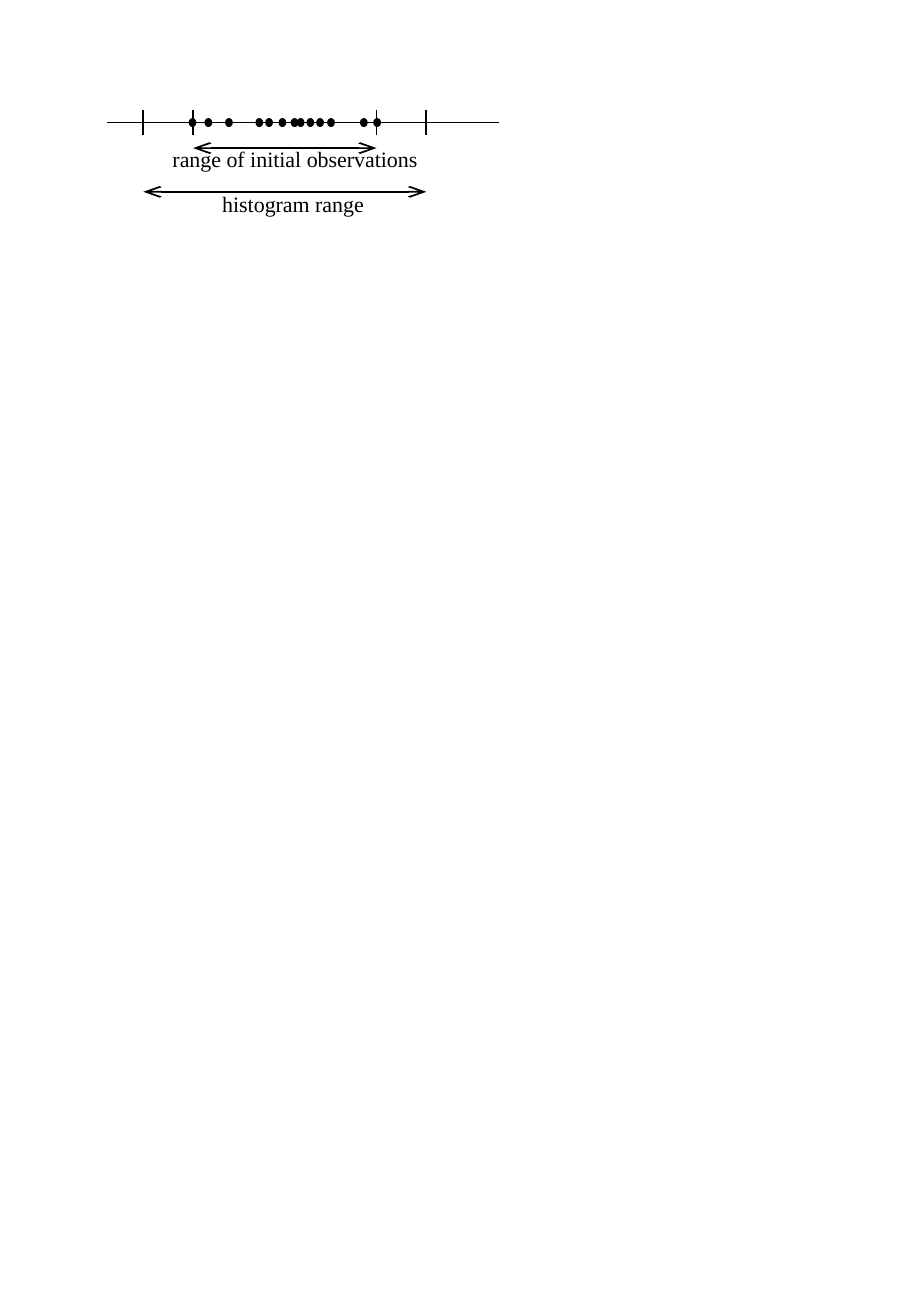
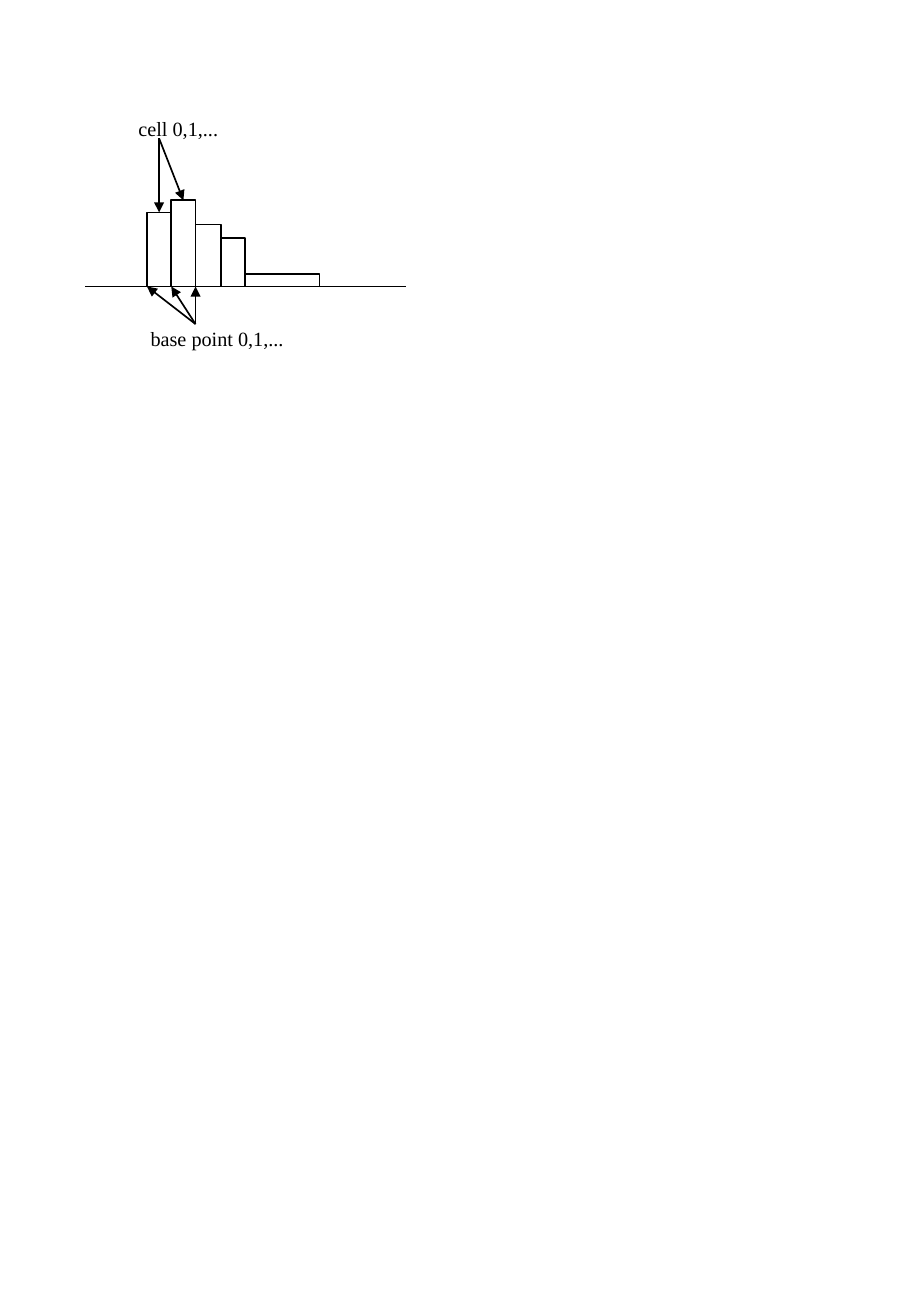
from itertools import pairwise

from lxml import etree
from pptx import Presentation
from pptx.dml.color import RGBColor
from pptx.enum import shapes, text
from pptx.oxml import ns
from pptx.util import Inches, Pt

THEME = {
    "ink": RGBColor(0, 0, 0),
    "font": "Times New Roman",
    "line": Pt(1),
    "range_size": Pt(13),
    "cell_size": Pt(12),
}


def add_line(group, start, end, **heads):
    """Draw a line; heads maps headEnd or tailEnd to (type, width, length)."""
    line = group.shapes.add_connector(
        shapes.MSO_CONNECTOR.STRAIGHT, *map(Inches, (*start, *end)))
    line.line.color.rgb = THEME["ink"]
    line.line.width = THEME["line"]
    properties = line.line._get_or_add_ln()
    for tag, (kind, width, length) in heads.items():
        etree.SubElement(properties, ns.qn(f"a:{tag}"), type=kind, w=width, len=length)
    etree.SubElement(line._element.spPr, ns.qn("a:effectLst"))


def add_label(group, wording, place, size):
    box = group.shapes.add_textbox(*map(Inches, place))
    frame = box.text_frame
    settings = {
        "margin_left": 0, "margin_right": 0, "margin_top": 0, "margin_bottom": 0,
        "word_wrap": False, "auto_size": text.MSO_AUTO_SIZE.SHAPE_TO_FIT_TEXT,
    }
    for name, value in settings.items():
        setattr(frame, name, value)
    span = frame.paragraphs[0].add_run()
    span.text = wording
    for name, value in {"name": THEME["font"], "size": size}.items():
        setattr(span.font, name, value)
    span.font.color.rgb = THEME["ink"]


deck = Presentation()
deck.slide_width, deck.slide_height = Inches(7.5), Inches(10.84)
blank = deck.slide_layouts[6]

# Observations on an axis, with the two ranges below
diagram = deck.slides.add_slide(blank).shapes.add_group_shape()
axis_y = 1.01
observed = (1.59, 3.1)
histogram = (1.18, 3.51)
add_line(diagram, (0.88, axis_y), (4.11, axis_y))
for x in observed + histogram:
    add_line(diagram, (x, axis_y - 0.1), (x, axis_y + 0.1))

open_head = ("arrow", "med", "lg")
for (left, right), y in ((observed, 1.22), (histogram, 1.58)):
    add_line(diagram, (left, y), (right, y), headEnd=open_head, tailEnd=open_head)

for left in (1.56, 1.69, 1.86, 2.11, 2.19, 2.3, 2.4, 2.45, 2.53, 2.61, 2.7, 2.97, 3.08):
    dot = diagram.shapes.add_shape(
        shapes.MSO_SHAPE.OVAL, *map(Inches, (left, 0.98, 0.05, 0.06)))
    dot.shadow.inherit = False
    dot.fill.solid()
    dot.fill.fore_color.rgb = dot.line.color.rgb = THEME["ink"]
    dot.line.width = THEME["line"]

add_label(diagram, "range of initial observations", (1.42, 1.2, 2.02, 0.22), THEME["range_size"])
add_label(diagram, "histogram range", (1.83, 1.57, 1.17, 0.22), THEME["range_size"])

# Histogram cells and base points
diagram = deck.slides.add_slide(blank).shapes.add_group_shape()
base_y = 2.36
base_points = (1.21, 1.41, 1.61, 1.82, 2.02, 2.63)
cell_tops = (1.75, 1.65, 1.85, 1.96, 2.26)
add_line(diagram, (0.7, base_y), (3.34, base_y))
for (left, right), top in zip(pairwise(base_points), cell_tops):
    cell = diagram.shapes.add_shape(
        shapes.MSO_SHAPE.RECTANGLE, *map(Inches, (left, top, right - left, base_y - top)))
    cell.shadow.inherit = False
    cell.fill.background()
    cell.line.color.rgb = THEME["ink"]
    cell.line.width = THEME["line"]

solid_head = ("triangle", "med", "med")
for x in base_points[:3]:
    add_line(diagram, (1.61, 2.67), (x, base_y), tailEnd=solid_head)
for x, top in zip((1.31, 1.51), cell_tops):
    add_line(diagram, (1.31, 1.14), (x, top), tailEnd=solid_head)

add_label(diagram, "base point 0,1,...", (1.24, 2.69, 1.1, 0.2), THEME["cell_size"])
add_label(diagram, "cell 0,1,...", (1.14, 0.96, 0.66, 0.2), THEME["cell_size"])

deck.save("out.pptx")
